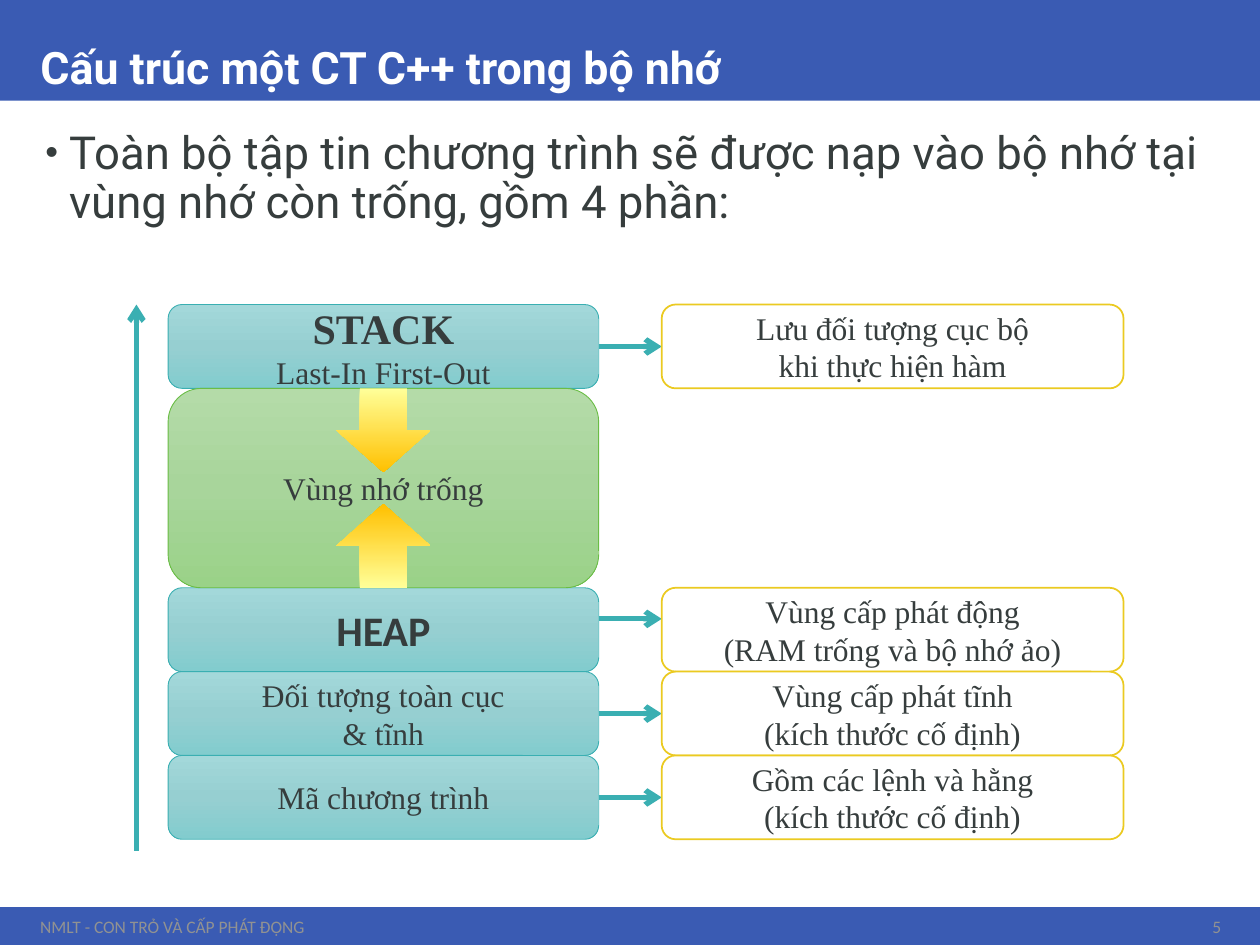
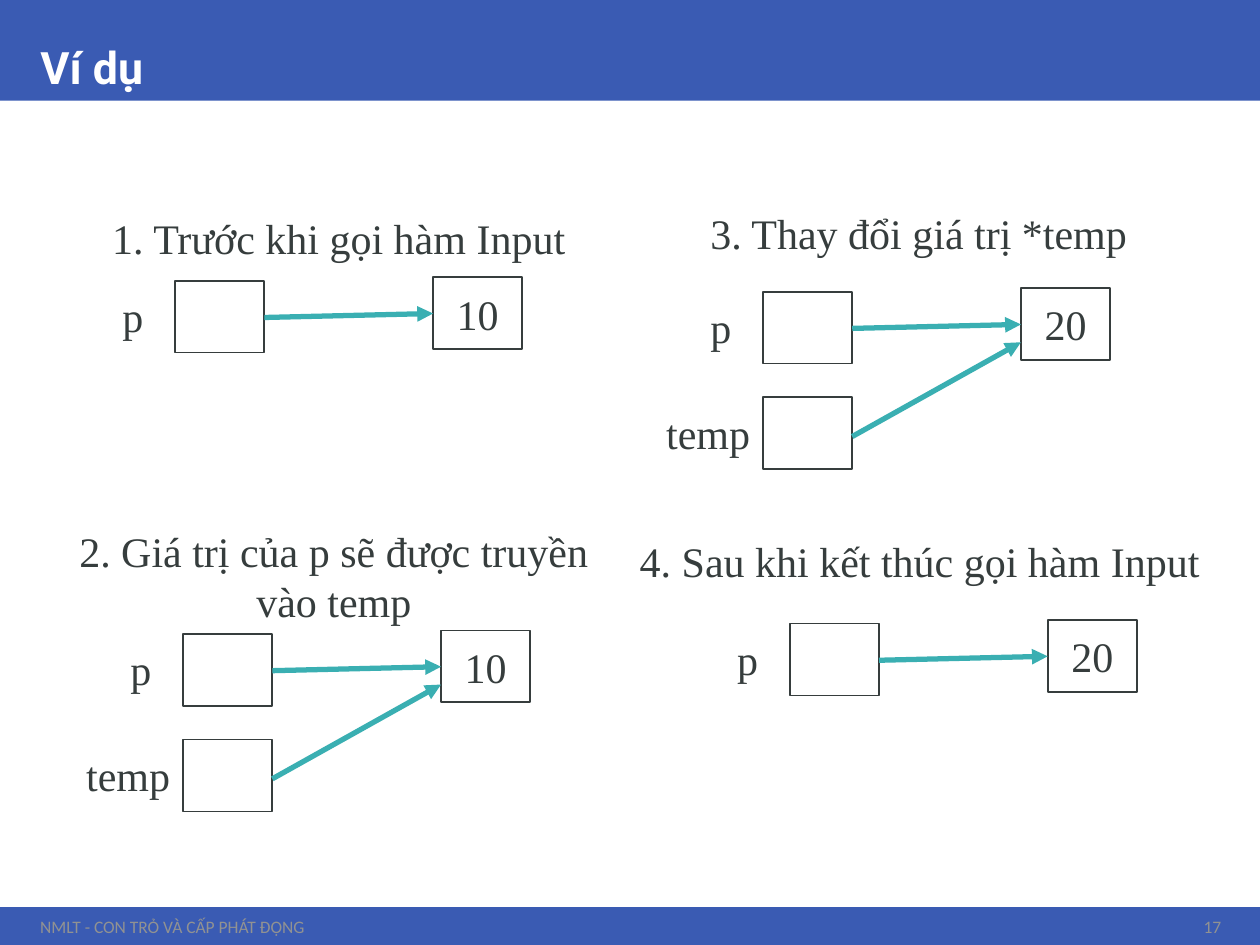
from copy import deepcopy
from pptx import Presentation
from pptx.dml.color import RGBColor
from pptx.enum.shapes import MSO_CONNECTOR as Link, MSO_SHAPE as Shape
from pptx.enum.text import MSO_ANCHOR as Anchor, MSO_AUTO_SIZE as Fit, PP_ALIGN as Align
from pptx.oxml.ns import qn
from pptx.oxml.xmlchemy import OxmlElement as Node
from pptx.util import Cm, Pt

BLUE, WHITE, DARK, GREY = "3A5BB3", "FFFFFF", "363D3D", "919292"
TEAL, GOLD, GREEN = "3AAFB2", "EBCA21", "6ABD45"
TEALS = ["A3D8DA", "96CFD1", "82CCCE"]
GREENS = ["B4DBA8", "A8D59B", "9AD288"]
FLAME = ["FFFF99", "FFC000"]
SERIF, SANS, HEAD = "Times New Roman", "Calibri", "Roboto"
FOOT = "NMLT - CON TRỎ VÀ CẤP PHÁT ĐỘNG"


def color(code):
    return RGBColor.from_string(code)


class Deck:
    def __init__(self):
        self.file = Presentation()
        self.file.slide_width, self.file.slide_height = Cm(25.4), Cm(19.05)
        self.slide = None

    def page(self, title, num, layout):
        """Start a slide with its bands, title and footer."""
        self.slide = self.file.slides.add_slide(self.file.slide_layouts[layout])
        for top, high in ((18.29, 0.76), (0, 2.03)):
            band = self.box(0, top, 25.4, high, fill=[BLUE])
            self.slide.shapes._spTree.insert(2, band._element)
        self.holder(0, title, 0, 2.03, 25.5, WHITE, Anchor.BOTTOM, bold=True)
        self.label(FOOT, 0.56, 18.34, 20.98, 0.66, 10, SANS, GREY, Align.LEFT)
        self.label(str(num), 23.52, 18.34, 1.35, 0.66, 10, SANS, GREY, Align.RIGHT)

    def style(self, para, size, font, tint, align, bold=False):
        para.alignment = align
        for run in para.runs:
            run.font.size, run.font.name, run.font.bold = Pt(size), font, bold
            run.font.color.rgb = color(tint)

    def holder(self, idx, text, top, high, size, tint, anchor, bold=False):
        item = self.slide.placeholders[idx]
        item.left, item.top, item.width, item.height = Cm(0.56), Cm(top), Cm(24.31), Cm(high)
        frame = item.text_frame
        frame.text = text
        frame.auto_size, frame.vertical_anchor = Fit.NONE, anchor
        para = frame.paragraphs[0]
        para.line_spacing = 0.9
        self.style(para, size, HEAD, tint, Align.LEFT, bold)
        return para

    def body(self, text):
        para = self.holder(1, text, 2.49, 15.37, 26, DARK, Anchor.TOP)
        para.space_before = Pt(13.5)
        props = para._p.get_or_add_pPr()
        props.set("marL", str(Cm(0.58)))
        props.set("indent", str(Cm(-0.48)))
        for tag, key, val in (("a:buSzPct", "val", "80000"), ("a:buFont", "typeface", "Arial"),
                              ("a:buChar", "char", "•")):
            mark = Node(tag)
            mark.set(key, val)
            props.append(mark)

    def label(self, text, x, y, wide, high, size=24, font=SERIF, tint=DARK,
              align=Align.CENTER, wrap=True):
        item = self.slide.shapes.add_textbox(Cm(x), Cm(y), Cm(wide), Cm(high))
        frame = item.text_frame
        frame.text = text
        frame.word_wrap, frame.vertical_anchor = wrap, Anchor.MIDDLE
        self.style(frame.paragraphs[0], size, font, tint, align)

    def box(self, x, y, wide, high, kind=Shape.RECTANGLE, fill=(), line=None, weight=1,
            text="", size=18, angle=270):
        """Draw a shape; several fill colours make a gradient."""
        item = self.slide.shapes.add_shape(kind, Cm(x), Cm(y), Cm(wide), Cm(high))
        item.shadow.inherit = False
        if len(fill) > 1:
            self.blend(item, fill, angle)
        elif fill:
            item.fill.solid()
            item.fill.fore_color.rgb = color(fill[0])
        else:
            item.fill.background()
        if line:
            item.line.color.rgb, item.line.width = color(line), Pt(weight)
        else:
            item.line.fill.background()
        if text:
            frame = item.text_frame
            frame.text = text
            frame.word_wrap, frame.vertical_anchor = False, Anchor.MIDDLE
            for para in frame.paragraphs:
                self.style(para, size, SERIF, DARK, Align.CENTER)
        return item

    def blend(self, item, tints, angle):
        item.fill.gradient()
        item.fill.gradient_angle = angle
        stops = item._element.spPr.find(qn("a:gradFill")).find(qn("a:gsLst"))
        for _ in tints[2:]:
            stops.append(deepcopy(stops[0]))
        for i, (stop, tint) in enumerate(zip(item.fill.gradient_stops, tints)):
            stop.position = i / (len(tints) - 1)
            stop.color.rgb = color(tint)

    def arrow(self, x1, y1, x2, y2, tip):
        item = self.slide.shapes.add_connector(Link.STRAIGHT, Cm(x1), Cm(y1), Cm(x2), Cm(y2))
        item.line.color.rgb, item.line.width = color(TEAL), Pt(3)
        end = Node("a:tailEnd")
        end.set("type", tip)
        item.line._ln.append(end)
        item._element.spPr.append(Node("a:effectLst"))


def memory(deck):
    deck.page("Cấu trúc một CT C++ trong bộ nhớ", 5, 1)
    deck.body("Toàn bộ tập tin chương trình sẽ được nạp vào bộ nhớ tại "
              "vùng nhớ còn trống, gồm 4 phần:")
    left, wide, row = 3.39, 8.68, 1.69
    top, heap = 6.14, 11.85
    note = 13.34
    # Memory parts, their notes, and the shift of each link from the middle
    parts = [
        (top, "STACK\nLast-In First-Out", "Lưu đối tượng cục bộ\nkhi thực hiện hàm", 0),
        (heap, "HEAP", "Vùng cấp phát động\n(RAM trống và bộ nhớ ảo)", -0.22),
        (heap + row, "Đối tượng toàn cục\n& tĩnh", "Vùng cấp phát tĩnh\n(kích thước cố định)", 0),
        (heap + 2 * row, "Mã chương trình", "Gồm các lệnh và hằng\n(kích thước cố định)", 0),
    ]
    for y, name, use, shift in parts:
        part = deck.box(left, y, wide, row, Shape.ROUNDED_RECTANGLE, TEALS, TEAL, 0.5, name)
        if name.isupper() or name.startswith("STACK"):
            font = SANS if name == "HEAP" else SERIF
            deck.style(part.text_frame.paragraphs[0], 24, font, DARK, Align.CENTER, True)
        mid = y + row / 2 + shift
        deck.arrow(left + wide, mid, note, mid, "arrow")
        deck.box(note, y, 9.31, row, Shape.ROUNDED_RECTANGLE, [WHITE], GOLD, 1, use)
    # Address axis
    deck.arrow(2.75, 17.15, 2.75, top, "arrow")
    # Free space, with stack and heap growing into it
    free = top + row
    deck.box(left, free, wide, heap - free, Shape.ROUNDED_RECTANGLE, GREENS, GREEN, 0.5,
             "Vùng nhớ trống")
    tip = left + wide / 2 - 0.95
    deck.box(tip, free, 1.9, row, Shape.DOWN_ARROW, FLAME)
    deck.box(tip, heap - row, 1.9, row, Shape.UP_ARROW, FLAME, angle=90)


def state(deck, x, y, value, temp):
    """Draw p, the value it points to and, if asked, temp."""
    wide, high, goal = 1.8, 1.45, x + 5.2
    rows = [("p", 1.7, 0, 0.74, 0.66)]
    if temp:
        rows.append(("temp", 2.21, 2.13, 2.92, 1.02))
    deck.box(goal, y - 0.07, wide, high, line=DARK, text=value, size=24)
    for name, span, drop, start, end in rows:
        deck.label(name, x - span, y + drop + 0.25, span, 0.91, wrap=False)
        deck.box(x, y + drop, wide, high, line=DARK)
        deck.arrow(x + wide, y + start, goal, y + end, "triangle")


def sample(deck):
    deck.page("Ví dụ", 17, 5)
    # Heading with its place, then place of p, value, and whether temp exists
    steps = [
        ("1. Trước khi gọi hàm Input", 0.48, 4.37, 12.7, 3.53, 5.66, "10", False),
        ("2. Giá trị của p sẽ được truyền vào temp", 1.09, 11.28, 11.28, 3.69, 12.78, "10", True),
        ("3. Thay đổi giá trị *temp", 12.17, 4.27, 12.7, 15.38, 5.88, "20", True),
        ("4. Sau khi kết thúc gọi hàm Input", 12.19, 10.87, 12.7, 15.92, 12.57, "20", False),
    ]
    for text, left, top, wide, x, y, value, temp in steps:
        deck.label(text, left, top, wide, 0.86 if wide > 12 else 0.64)
        state(deck, x, y, value, temp)


def main():
    deck = Deck()
    memory(deck)
    sample(deck)
    deck.file.save("out.pptx")


if __name__ == "__main__":
    main()
